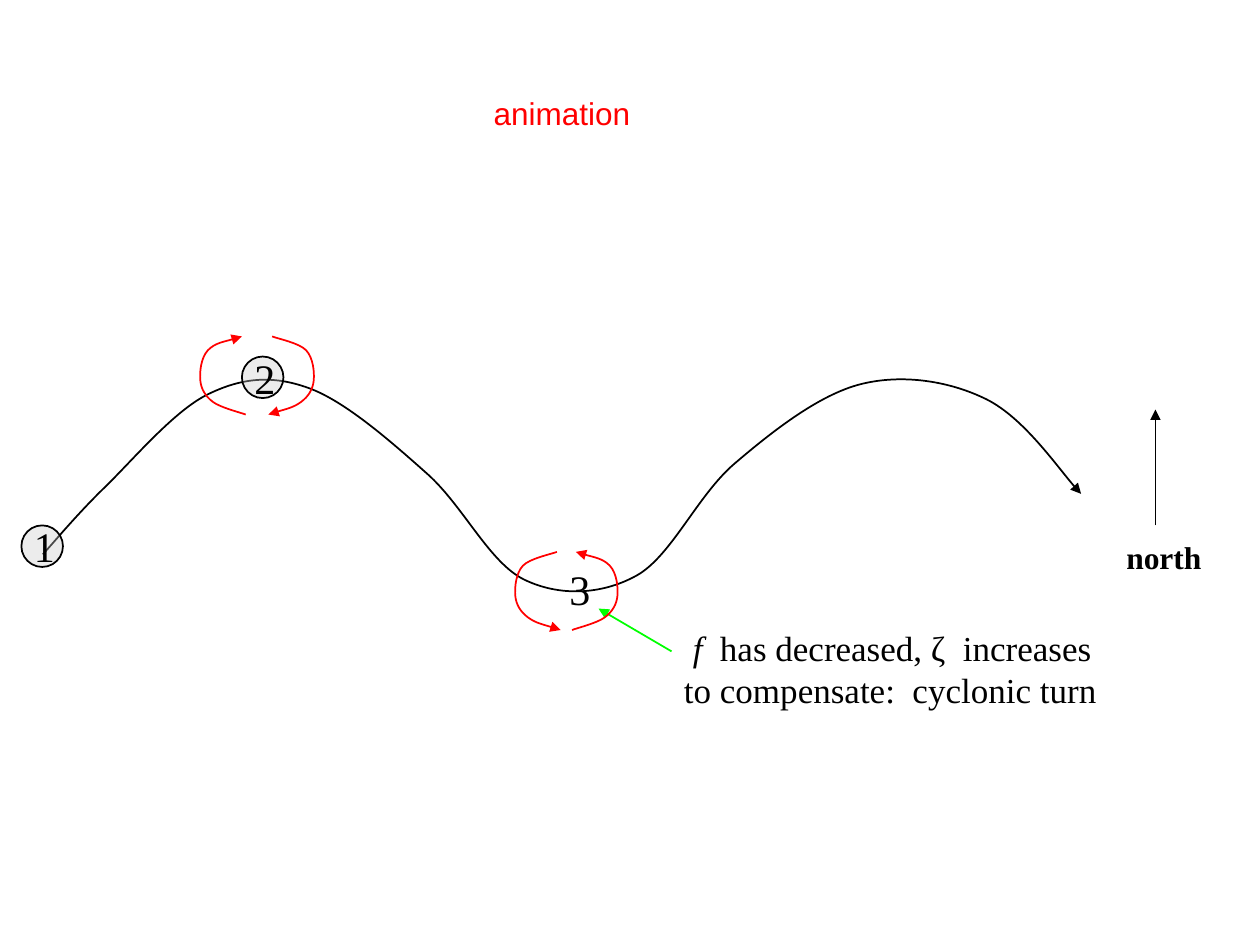
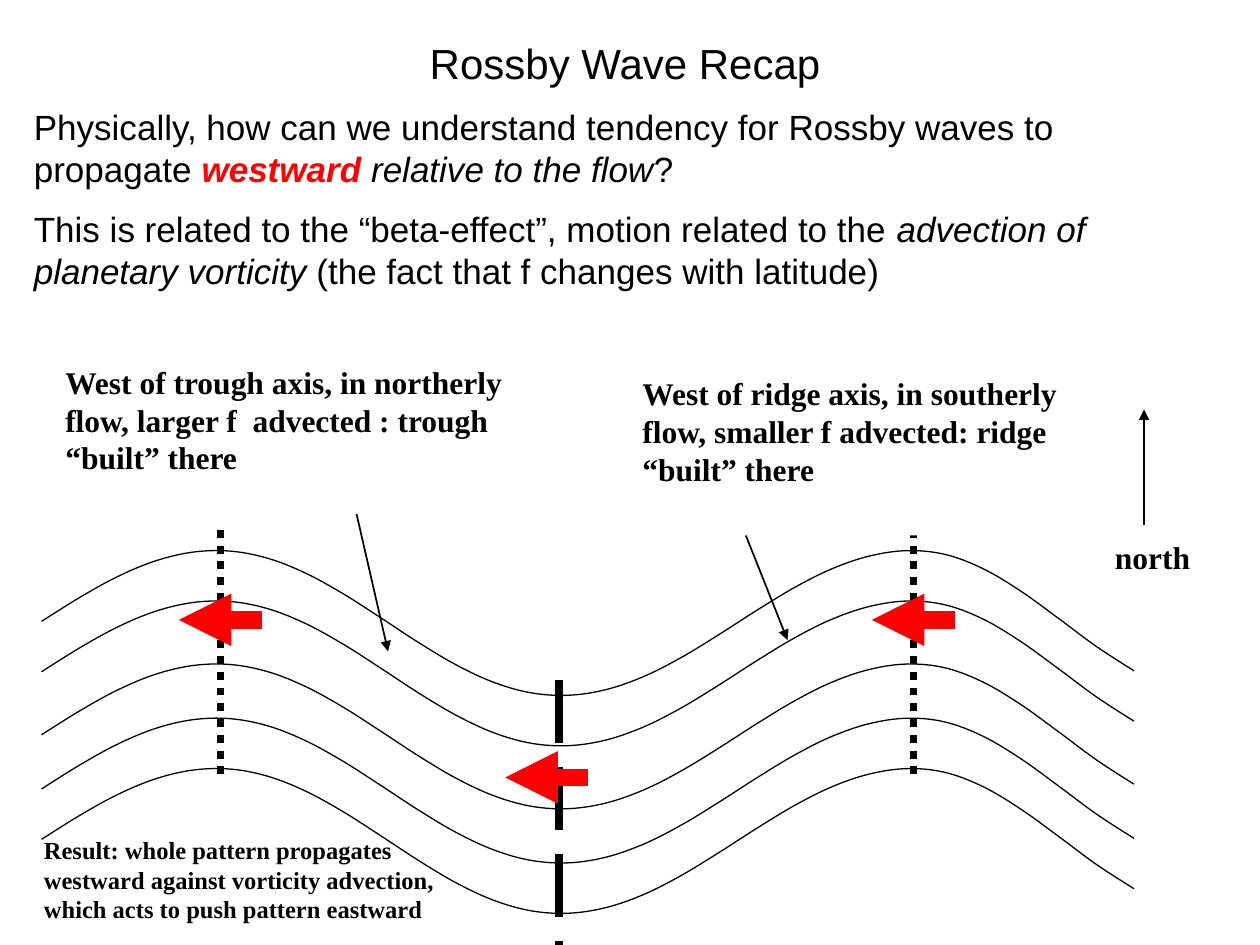
"""Build two slides on Rossby waves and their westward propagation."""
from dataclasses import dataclass
from math import cos, pi
from typing import Optional

from lxml import etree
from pptx import Presentation
from pptx.dml.color import RGBColor
from pptx.enum import dml, shapes, text
from pptx.oxml.ns import qn
from pptx.util import Inches, Pt

BLACK = RGBColor(0, 0, 0)
WHITE = RGBColor(255, 255, 255)
RED = RGBColor(255, 0, 0)
GREEN = RGBColor(0, 255, 0)
GREY = RGBColor(0xCB, 0xCB, 0xCB)
SANS, SERIF = "Arial", "Times New Roman"
Point = tuple[float, float]

PARCEL_WAYPOINTS: list[Point] = [
    (0.34, 4.4), (0.83, 3.87), (1.65, 3.13), (2.45, 3.08), (3.39, 3.76), (4.16, 4.6),
    (5.05, 4.57), (5.83, 3.68), (6.83, 3.05), (7.83, 3.17), (8.58, 3.92)]
HALF_RING: list[Point] = [(0.03, 0), (0.3, 0.11), (0.36, 0.35), (0.26, 0.52), (0, 0.62)]
RIDGE_Y, TROUGH_Y = 4.37, 5.52
TURNS: list[Point] = [(-1.1, TROUGH_Y), (1.72, RIDGE_Y), (4.45, TROUGH_Y),
                      (7.25, RIDGE_Y), (9.65, TROUGH_Y)]
FLOW_LEFT, FLOW_RIGHT, FLOW_STEPS = 0.33, 9, 29
STREAMLINE_OFFSETS = (0, 0.4, 0.9, 1.33, 1.73)


@dataclass(frozen=True)
class Stroke:
    """Look of a line: colour, width in points, arrowhead end and dash."""
    color: RGBColor = BLACK
    width: float = 1
    arrow: Optional[str] = None
    dash: Optional[dml.MSO_LINE] = None


@dataclass(frozen=True)
class Run:
    """A stretch of text with its emphasis."""
    words: str
    bold: bool = False
    italic: bool = False
    color: RGBColor = BLACK


@dataclass(frozen=True)
class Paragraph:
    """Runs set in one size, with alignment, space before and first-line indent."""
    runs: tuple[Run, ...]
    size: float
    align: text.PP_ALIGN = text.PP_ALIGN.LEFT
    before: float = 0
    indent: float = 0


@dataclass(frozen=True)
class Block:
    """A text box and its paragraphs."""
    left: float
    top: float
    width: float
    height: float
    paragraphs: tuple[Paragraph, ...]
    font: str = SERIF
    fill: Optional[RGBColor] = None
    wrap: bool = True


@dataclass(frozen=True)
class Segment:
    """A straight line from one point to another."""
    start: Point
    end: Point
    stroke: Stroke


def streamline_height(x: float) -> float:
    """Follow a half cosine between the neighbouring ridge and trough."""
    (x0, y0), (x1, y1) = next(
        pair for pair in zip(TURNS, TURNS[1:]) if pair[0][0] <= x <= pair[1][0])
    return y0 + (y1 - y0) * (1 - cos(pi * (x - x0) / (x1 - x0))) / 2


def streamline(offset: float) -> list[Point]:
    """Sample one streamline, shifted down by an offset."""
    step = (FLOW_RIGHT - FLOW_LEFT) / FLOW_STEPS
    places = [FLOW_LEFT + step * number for number in range(FLOW_STEPS + 1)]
    return [(x, streamline_height(x) + offset) for x in places]


def bezier_arcs(points: list[Point]) -> list[Point]:
    """Return two controls and an end per arc of a Catmull-Rom curve."""
    padded = [points[0], *points, points[-1]]
    arcs: list[Point] = []
    for before, start, end, after in zip(padded, padded[1:], padded[2:], padded[3:]):
        leave = (start[0] + (end[0] - before[0]) / 6, start[1] + (end[1] - before[1]) / 6)
        arrive = (end[0] - (after[0] - start[0]) / 6, end[1] - (after[1] - start[1]) / 6)
        arcs += [leave, arrive, end]
    return arcs


def apply_stroke(shape, stroke: Stroke) -> None:
    """Set the line of a shape and remove its shadow."""
    shape.line.color.rgb = stroke.color
    shape.line.width = Pt(stroke.width)
    if stroke.dash is not None:
        shape.line.dash_style = stroke.dash
    properties = shape.element.spPr
    if stroke.arrow:
        etree.SubElement(properties.find(qn("a:ln")), qn(f"a:{stroke.arrow}"), type="triangle")
    etree.SubElement(properties, qn("a:effectLst"))


def draw_segment(slide, segment: Segment) -> None:
    """Draw a straight line or arrow."""
    ends = [Inches(value) for value in segment.start + segment.end]
    line = slide.shapes.add_connector(shapes.MSO_CONNECTOR.STRAIGHT, *ends)
    apply_stroke(line, segment.stroke)


def draw_curve(slide, points: list[Point], stroke: Stroke) -> None:
    """Draw a smooth open curve through the points."""
    start, *corners = [(Inches(x), Inches(y)) for x, y in points[:1] + bezier_arcs(points)]
    builder = slide.shapes.build_freeform(*start)
    builder.add_line_segments(corners, close=False)
    curve = builder.convert_to_shape()
    steps = list(curve.element.iter(qn("a:lnTo")))
    outline = steps[0].getparent()
    for first in range(0, len(steps), 3):
        arc = etree.SubElement(outline, qn("a:cubicBezTo"))
        for step in steps[first:first + 3]:
            arc.append(step[0])
            outline.remove(step)
    curve.fill.background()
    apply_stroke(curve, stroke)


def draw_half_ring(slide, edge: float, top: float, side: int, arrow: str) -> None:
    """Draw half of a circulation ring, bulging right (1) or left (-1)."""
    points = [(edge + side * x, top + y) for x, y in HALF_RING]
    draw_curve(slide, points, Stroke(RED, arrow=arrow))


def draw_parcel(slide, left: float, top: float) -> None:
    """Draw a translucent air parcel."""
    parcel = slide.shapes.add_shape(
        shapes.MSO_SHAPE.OVAL, Inches(left), Inches(top), Inches(0.33), Inches(0.33))
    parcel.fill.solid()
    parcel.fill.fore_color.rgb = GREY
    tint = parcel.element.spPr.find(qn("a:solidFill"))[0]
    etree.SubElement(tint, qn("a:alpha"), val="36000")
    apply_stroke(parcel, Stroke())


def draw_block(slide, block: Block) -> None:
    """Draw a text box."""
    area = [Inches(v) for v in (block.left, block.top, block.width, block.height)]
    box = slide.shapes.add_textbox(*area)
    if block.fill is not None:
        box.fill.solid()
        box.fill.fore_color.rgb = block.fill
    frame = box.text_frame
    frame.word_wrap = block.wrap
    for number, content in enumerate(block.paragraphs):
        paragraph = frame.add_paragraph() if number else frame.paragraphs[0]
        paragraph.alignment = content.align
        if content.before:
            paragraph.space_before = Pt(content.before)
        if content.indent:
            paragraph._p.get_or_add_pPr().set("indent", str(Inches(content.indent)))
        for part in content.runs:
            run = paragraph.add_run()
            run.text = part.words
            look = {"name": block.font, "size": Pt(content.size),
                    "bold": part.bold, "italic": part.italic}
            for attribute, value in look.items():
                setattr(run.font, attribute, value)
            run.font.color.rgb = part.color


def label(words: str, size: float, bold: bool = True) -> tuple[Paragraph, ...]:
    """Return one plain paragraph."""
    return (Paragraph((Run(words, bold=bold),), size),)


def draw_north(slide, x: float) -> None:
    """Draw the compass arrow and its label."""
    draw_segment(slide, Segment((x, 4.17), (x, 3.25), Stroke(width=0.75, arrow="tailEnd")))
    draw_block(slide, Block(x - 0.33, 4.22, 0.92, 0.45, label("north", 18)))


def build_trajectory(slide) -> None:
    """Draw the path of an air parcel through ridge and trough."""
    draw_curve(slide, PARCEL_WAYPOINTS, Stroke(arrow="tailEnd"))
    draw_block(slide, Block(5.33, 4.92, 3.5, 1.28, (Paragraph((
        Run("f", italic=True),
        Run("  has decreased, ζ  increases to compensate:  cyclonic turn")), 20, indent=0.07),)))
    draw_segment(slide, Segment((5.33, 5.17), (4.75, 4.83), Stroke(GREEN, arrow="tailEnd")))
    draw_north(slide, 9.17)
    for left, top in ((0.17, 4.17), (1.92, 2.83)):
        draw_parcel(slide, left, top)
    for left_edge, right_edge, top, left_arrow, right_arrow in (
            (1.95, 2.13, 2.67, "headEnd", "tailEnd"),
            (4.45, 4.54, 4.38, "tailEnd", "headEnd")):
        draw_half_ring(slide, left_edge, top, -1, left_arrow)
        draw_half_ring(slide, right_edge, top, 1, right_arrow)
    for stage, left, top in (("1", 0.17, 4.08), ("2", 1.92, 2.75), ("3", 4.42, 4.42)):
        draw_block(slide, Block(left, top, 0.75, 0.51, label(stage, 24, bold=False)))
    draw_block(slide, Block(3.82, 0.7, 1.3, 0.4, (
        Paragraph((Run("animation", color=RED),), 18),), SANS, wrap=False))


def build_recap(slide) -> None:
    """Draw the explanation of westward propagation."""
    draw_block(slide, Block(0.17, 0.25, 9.58, 2.19, (
        Paragraph((Run("Rossby Wave Recap"),), 24, text.PP_ALIGN.CENTER),
        Paragraph((
            Run("Physically, how can we understand tendency for Rossby waves to propagate "),
            Run("westward ", bold=True, italic=True, color=RED),
            Run("relative to the flow", italic=True), Run("?")), 20, before=10),
        Paragraph((
            Run("This is related to the “beta-effect”, motion related to the "),
            Run("advection of planetary vorticity", italic=True),
            Run(" (the fact that f changes with latitude)")), 20, before=10)), SANS))
    for offset in STREAMLINE_OFFSETS:
        draw_curve(slide, streamline(offset), Stroke(width=0.75))
    trough = Stroke(width=4.5, dash=dml.MSO_LINE.LONG_DASH)
    ridge = Stroke(width=4.5, dash=dml.MSO_LINE.ROUND_DOT)
    for x, top, axis in ((4.44, 5.4, trough), (1.75, 4.08, ridge), (7.25, 4.08, ridge)):
        draw_segment(slide, Segment((x, top), (x, top + 2.1), axis))
    for left, top, width, words in (
            (0.42, 2.83, 3.83, "West of trough axis, in northerly flow, "
                               "larger f  advected : trough “built” there"),
            (5, 2.92, 3.67, "West of ridge axis, in southerly flow, "
                            "smaller f advected: ridge “built” there")):
        draw_block(slide, Block(left, top, width, 1.33, label(words, 18), fill=WHITE))
    draw_north(slide, 9.08)
    for start, end in (((2.83, 4.08), (3.08, 5.17)), ((5.92, 4.25), (6.25, 5.08))):
        draw_segment(slide, Segment(start, end, Stroke(arrow="tailEnd")))
    draw_block(slide, Block(0.25, 6.58, 3.58, 0.75, label(
        "Result: whole pattern propagates westward against vorticity advection, "
        "which acts to push pattern eastward", 14)))
    for east, y in ((7.58, 4.92), (4.67, 6.17), (2.08, 4.92)):
        draw_segment(slide, Segment((east, y), (east - 0.66, y), Stroke(RED, 10, "tailEnd")))


def main() -> None:
    """Build and save the presentation."""
    deck = Presentation()
    deck.slide_width, deck.slide_height = Inches(10), Inches(7.5)
    for build in (build_trajectory, build_recap):
        build(deck.slides.add_slide(deck.slide_layouts[6]))
    deck.save("out.pptx")


if __name__ == "__main__":
    main()
